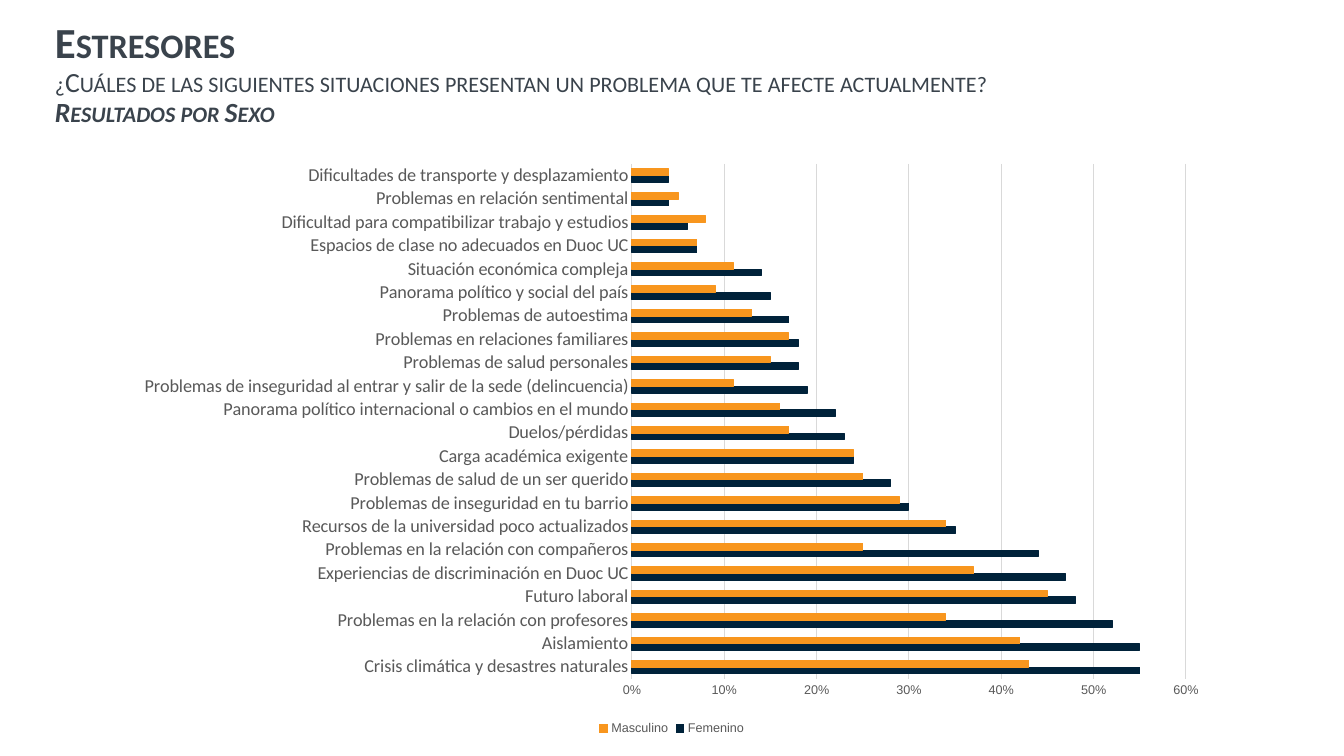
import pptx
import pptx.util
import pptx.chart.data
import pptx.dml.color
import pptx.enum.chart
import pptx.enum.text
import lxml.etree

# Content
HEADING = [  # text, size in pt, bold, italic
    ("Estresores", 30.6, True, False),
    ("¿Cuáles de las siguientes situaciones presentan un problema que te afecte actualmente?",
     19.8, False, False),
    ("Resultados por Sexo", 19.8, True, True),
]
SERIES = ("Femenino", "Masculino")
STRESSORS = [  # category, Femenino, Masculino
    ("Crisis climática y desastres naturales", 0.55, 0.43),
    ("Aislamiento", 0.55, 0.42),
    ("Problemas en la relación con profesores", 0.52, 0.34),
    ("Futuro laboral", 0.48, 0.45),
    ("Experiencias de discriminación en Duoc UC", 0.47, 0.37),
    ("Problemas en la relación con compañeros", 0.44, 0.25),
    ("Recursos de la universidad poco actualizados", 0.35, 0.34),
    ("Problemas de inseguridad en tu barrio", 0.30, 0.29),
    ("Problemas de salud de un ser querido", 0.28, 0.25),
    ("Carga académica exigente", 0.24, 0.24),
    ("Duelos/pérdidas", 0.23, 0.17),
    ("Panorama político internacional o cambios en el mundo", 0.22, 0.16),
    ("Problemas de inseguridad al entrar y salir de la sede (delincuencia)", 0.19, 0.11),
    ("Problemas de salud personales", 0.18, 0.15),
    ("Problemas en relaciones familiares", 0.18, 0.17),
    ("Problemas de autoestima", 0.17, 0.13),
    ("Panorama político y social del país", 0.15, 0.09),
    ("Situación económica compleja", 0.14, 0.11),
    ("Espacios de clase no adecuados en Duoc UC", 0.07, 0.07),
    ("Dificultad para compatibilizar trabajo y estudios", 0.06, 0.08),
    ("Problemas en relación sentimental", 0.04, 0.05),
    ("Dificultades de transporte y desplazamiento", 0.04, 0.04),
]
COLORS = {"heading": "3A434C", "Femenino": "00223A", "Masculino": "F8961E",
          "label": "595959", "grid": "D9D9D9"}

# Places in px: left, top, width, height
SLIDE = (1344, 756)
HEADING_BOX = (45, 17, 1283, 115)
CHART_BOX = (123, 152, 1098, 588)
PLOT_BOX = (632, 164, 554, 515)
EMU_PER_PX = 914400 / 100.8


def emu(px):
    return pptx.util.Emu(round(px * EMU_PER_PX))


def rgb(name):
    return pptx.dml.color.RGBColor.from_string(COLORS[name])


def style_font(font, face, size, color):
    font.name = face
    font.size = pptx.util.Pt(size)
    font.color.rgb = rgb(color)


def style_line(line, color):
    line.color.rgb = rgb(color)
    line.width = pptx.util.Pt(0.75)


def place_plot(chart):
    """Fix the inner plot area as fractions of the chart frame."""
    left, top, width, height = CHART_BOX
    x, y, w, h = PLOT_BOX
    fractions = {"x": (x - left) / width, "y": (y - top) / height,
                 "w": w / width, "h": h / height}
    plot_area = chart.plots[0]._element.getparent()
    ns = "{%s}" % plot_area.nsmap["c"]
    for old in plot_area.findall(ns + "layout"):
        plot_area.remove(old)
    layout = lxml.etree.Element(ns + "layout")
    manual = lxml.etree.SubElement(layout, ns + "manualLayout")
    settings = [("layoutTarget", "inner"), ("xMode", "edge"), ("yMode", "edge")]
    settings += [(key, f"{value:.4f}") for key, value in fractions.items()]
    for tag, value in settings:
        lxml.etree.SubElement(manual, ns + tag).set("val", value)
    plot_area.insert(0, layout)


def add_heading(slide):
    frame = slide.shapes.add_textbox(*map(emu, HEADING_BOX)).text_frame
    frame.word_wrap = True
    frame.vertical_anchor = pptx.enum.text.MSO_ANCHOR.TOP
    for index, (text, size, bold, italic) in enumerate(HEADING):
        paragraph = frame.add_paragraph() if index else frame.paragraphs[0]
        paragraph.line_spacing = 0.9
        run = paragraph.add_run()
        run.text = text
        style_font(run.font, "Calibri", size, "heading")
        run.font.bold = bold
        run.font.italic = italic
        run.font._element.set("cap", "small")


def add_stressor_chart(slide):
    labels, *columns = zip(*STRESSORS)
    data = pptx.chart.data.CategoryChartData(number_format="0%")
    data.categories = labels
    for name, values in zip(SERIES, columns):
        data.add_series(name, values)
    chart = slide.shapes.add_chart(pptx.enum.chart.XL_CHART_TYPE.BAR_CLUSTERED,
                                   *map(emu, CHART_BOX), data).chart
    chart.has_title = False
    style_font(chart.font, "Arial", 10, "label")
    place_plot(chart)

    # Bars
    bars = chart.plots[0]
    bars.gap_width = 150
    bars.overlap = 0
    bars.vary_by_categories = False
    for sex in bars.series:
        sex.format.fill.solid()
        sex.format.fill.fore_color.rgb = rgb(sex.name)
        style_line(sex.format.line, sex.name)

    # Axes
    none = pptx.enum.chart.XL_TICK_MARK.NONE
    for axis, face, size in ((chart.category_axis, "Calibri", 13),
                             (chart.value_axis, "Arial", 9)):
        axis.major_tick_mark = axis.minor_tick_mark = none
        style_font(axis.tick_labels.font, face, size, "label")
    style_line(chart.category_axis.format.line, "grid")
    percent = chart.value_axis
    percent.minimum_scale, percent.maximum_scale, percent.major_unit = 0, 0.6, 0.1
    percent.tick_labels.number_format = "0%"
    percent.tick_labels.number_format_is_linked = False
    percent.format.line.fill.background()
    style_line(percent.major_gridlines.format.line, "grid")

    # Legend
    chart.has_legend = True
    chart.legend.position = pptx.enum.chart.XL_LEGEND_POSITION.BOTTOM
    chart.legend.include_in_layout = False
    style_font(chart.legend.font, "Arial", 9, "label")


def main():
    deck = pptx.Presentation()
    deck.slide_width, deck.slide_height = map(emu, SLIDE)
    slide = deck.slides.add_slide(deck.slide_layouts[6])
    add_heading(slide)
    add_stressor_chart(slide)
    deck.save("out.pptx")


if __name__ == "__main__":
    main()
